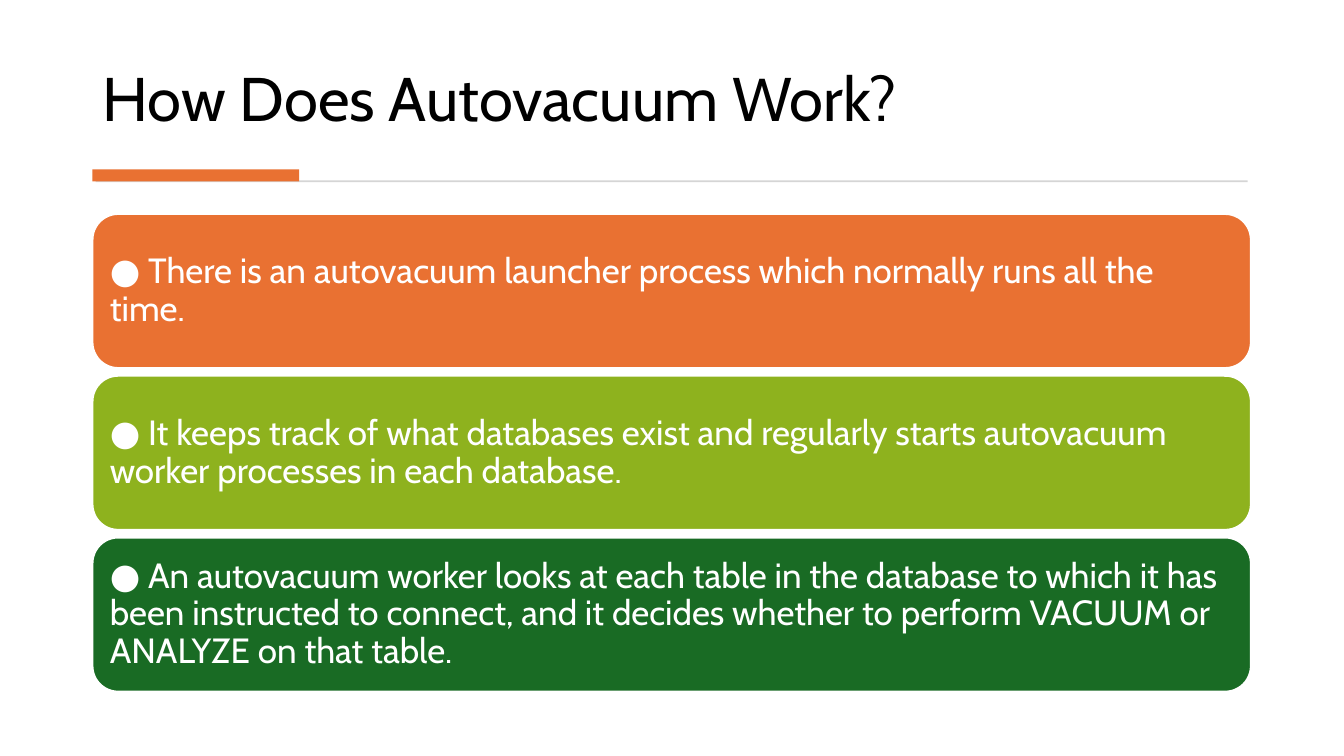
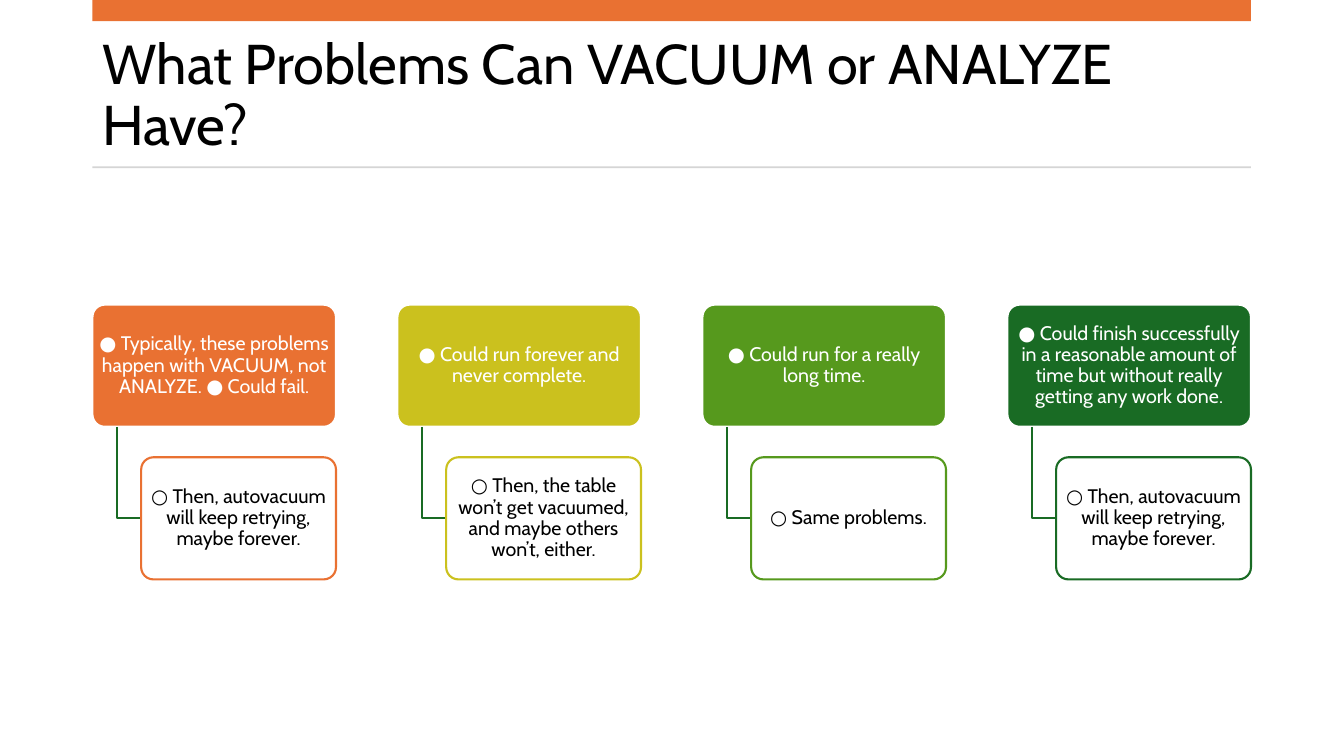
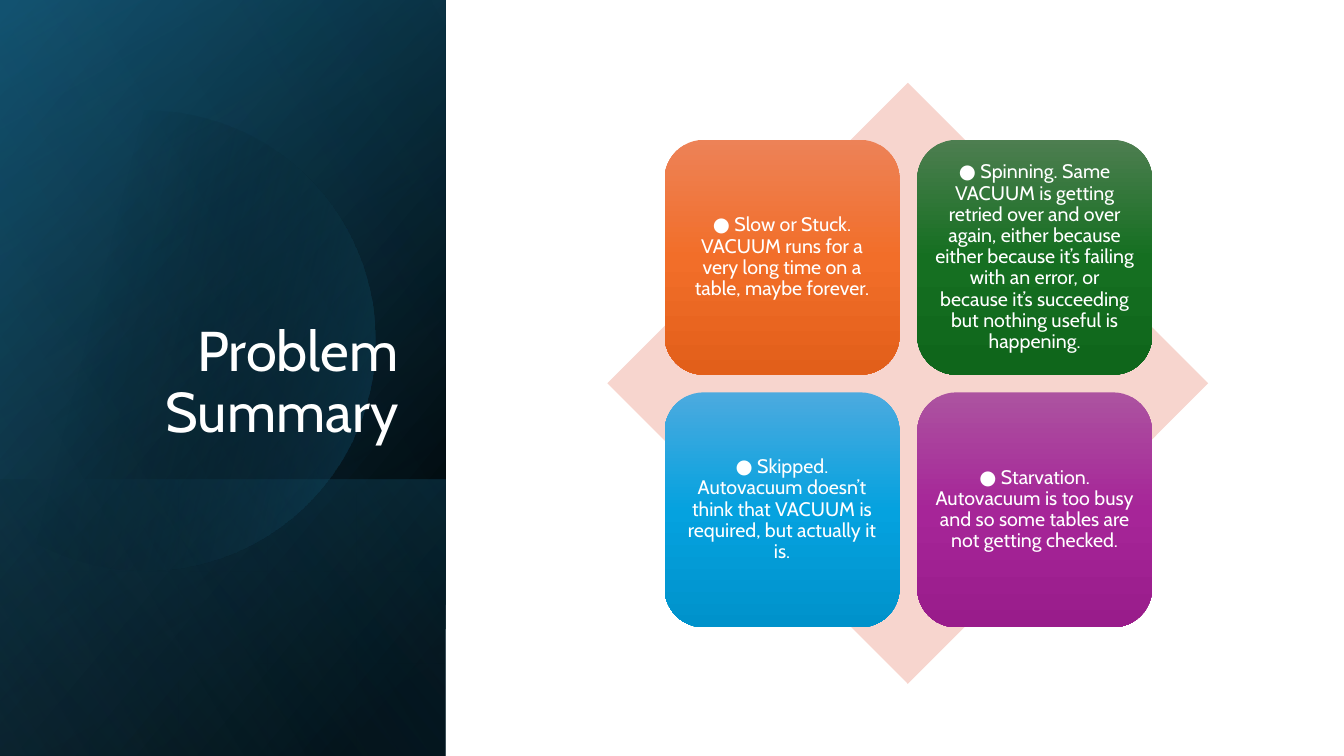
import math
from typing import Any, NamedTuple, Optional

import pptx
import pptx.dml.color
import pptx.enum.shapes
import pptx.enum.text
import pptx.oxml
import pptx.oxml.ns
import pptx.util

# Shared style
FONT = "Cabin"
BLACK, WHITE, GREY = "000000", "FFFFFF", "D5D5D5"
ORANGE, GREEN, TEAL = "E97132", "196B24", "156082"
WIDE, HIGH = pptx.util.Inches(13.333), pptx.util.Inches(7.5)
LEFT, SPAN, RULE = 6.88, 86.2, 0.25  # shares of the slide, in percent

KIND = pptx.enum.shapes.MSO_SHAPE
ALIGN = pptx.enum.text.PP_ALIGN
ANCHOR = pptx.enum.text.MSO_ANCHOR


class Box(NamedTuple):
    """A frame in percent of the slide's width and height."""
    x: float
    y: float
    w: float
    h: float


class Stop(NamedTuple):
    pos: int
    color: str
    alpha: int = 100


class Grad(NamedTuple):
    stops: list[Stop]
    angle: float  # clockwise from left to right


class Layer(NamedTuple):
    box: Box
    grad: Grad


class Card(NamedTuple):
    color: str
    text: str


class Branch(NamedTuple):
    color: str
    cause: str
    result: str


class Tile(NamedTuple):
    shades: tuple[str, str, str]
    text: str


# Drawing helpers
def across(share: float) -> int:
    return round(WIDE * share / 100)


def down(share: float) -> int:
    return round(HIGH * share / 100)


def place(box: Box) -> tuple[int, int, int, int]:
    return across(box.x), down(box.y), across(box.w), down(box.h)


def rgb(code: str) -> pptx.dml.color.RGBColor:
    return pptx.dml.color.RGBColor.from_string(code)


def shade(shape: Any, grad: Grad) -> None:
    """Fill a shape with a gradient whose stops may be see-through."""
    shape.fill.gradient()
    shape.fill.gradient_angle = (360 - grad.angle) % 360
    stops = shape._element.spPr.find(".//" + pptx.oxml.ns.qn("a:gsLst"))
    for old in list(stops):
        stops.remove(old)
    for stop in grad.stops:
        stops.append(pptx.oxml.parse_xml(
            f'<a:gs {pptx.oxml.ns.nsdecls("a")} pos="{stop.pos * 1000}">'
            f'<a:srgbClr val="{stop.color}"><a:alpha val="{stop.alpha * 1000}"/>'
            '</a:srgbClr></a:gs>'))


def paint(shape: Any, fill: str | Grad | None, line: Optional[str] = None) -> None:
    shape.shadow.inherit = False
    if isinstance(fill, Grad):
        shade(shape, fill)
    elif fill:
        shape.fill.solid()
        shape.fill.fore_color.rgb = rgb(fill)
    else:
        shape.fill.background()
    if line:
        shape.line.color.rgb = rgb(line)
        shape.line.width = pptx.util.Pt(1.5)
    else:
        shape.line.fill.background()


def draw(slide: Any, kind: Any, box: Box, fill: str | Grad,
         line: Optional[str] = None) -> Any:
    shape = slide.shapes.add_shape(kind, *place(box))
    paint(shape, fill, line)
    return shape


def write(shape: Any, text: str, size: float, color: str, align: Any,
          anchor: Any = ANCHOR.MIDDLE, pad: tuple[float, float] = (0.1, 0.05)) -> None:
    frame = shape.text_frame
    frame.word_wrap = True
    frame.auto_size = pptx.enum.text.MSO_AUTO_SIZE.NONE
    frame.vertical_anchor = anchor
    frame.margin_left = frame.margin_right = pptx.util.Inches(pad[0])
    frame.margin_top = frame.margin_bottom = pptx.util.Inches(pad[1])
    para = frame.paragraphs[0]
    para.alignment = align
    para.line_spacing = 0.9
    run = para.add_run()
    run.text = text
    run.font.name = FONT
    run.font.size = pptx.util.Pt(size)
    run.font.color.rgb = rgb(color)


def head(slide: Any, text: str, box: Box, size: float, anchor: Any,
         color: str = BLACK, align: Any = ALIGN.LEFT) -> None:
    title = slide.shapes.title
    title.left, title.top, title.width, title.height = place(box)
    write(title, text, size, color, align, anchor)
    slide.shapes._spTree.append(title._element)  # bring to front


def trace(slide: Any, points: list[tuple[float, float]], close: bool) -> Any:
    spots = [(across(x), down(y)) for x, y in points]
    pen = slide.shapes.build_freeform(*spots[0])
    pen.add_line_segments(spots[1:], close=close)
    return pen.convert_to_shape()


# Slide 1: three stacked cards
CARDS = [
    Card(ORANGE, "● There is an autovacuum launcher process which normally runs "
                 "all the time."),
    Card("8EB21E", "● It keeps track of what databases exist and regularly starts "
                   "autovacuum worker processes in each database."),
    Card(GREEN, "● An autovacuum worker looks at each table in the database to "
                "which it has been instructed to connect, and it decides whether "
                "to perform VACUUM or ANALYZE on that table."),
]


def work(slide: Any) -> None:
    head(slide, "How Does Autovacuum Work?", Box(LEFT, 3.75, SPAN, 14.8), 44,
         ANCHOR.BOTTOM)
    draw(slide, KIND.RECTANGLE, Box(7.12, 23.85, 85.72, RULE), GREY)
    draw(slide, KIND.RECTANGLE, Box(LEFT, 22.4, 15.38, 1.6), ORANGE)
    for row, card in enumerate(CARDS):
        box = Box(LEFT, 28.3 + 21.4 * row, SPAN, 20.4)
        shape = draw(slide, KIND.ROUNDED_RECTANGLE, box, card.color, WHITE)
        write(shape, card.text, 25, WHITE, ALIGN.LEFT, pad=(0.1, 0.1))


# Slide 2: four causes, each with its result
RETRY = "○ Then, autovacuum will keep retrying, maybe forever."
BRANCHES = [
    Branch(ORANGE, "● Typically, these problems happen with VACUUM, not ANALYZE. "
                   "● Could fail.", RETRY),
    Branch("CBC11E", "● Could run forever and never complete.",
           "○ Then, the table won’t get vacuumed, and maybe others won’t, either."),
    Branch("56991D", "● Could run for a really long time.", "○ Same problems."),
    Branch(GREEN, "● Could finish successfully in a reasonable amount of time but "
                  "without really getting any work done.", RETRY),
]


def node(slide: Any, box: Box, text: str, fill: str, line: str, ink: str) -> None:
    shape = draw(slide, KIND.ROUNDED_RECTANGLE, box, fill, line)
    shape.adjustments[0] = 0.1
    write(shape, text, 14, ink, ALIGN.CENTER, pad=(0.03, 0.02))


def faults(slide: Any) -> None:
    head(slide, "What Problems Can VACUUM or ANALYZE Have?",
         Box(LEFT, 4.95, SPAN, 15.7), 40, ANCHOR.MIDDLE)
    draw(slide, KIND.RECTANGLE, Box(LEFT, 0, SPAN, 2.8), ORANGE)
    draw(slide, KIND.RECTANGLE, Box(LEFT, 22, SPAN, RULE), GREY)
    top, wide, high = 40.3, 18.12, 16.15
    step = (SPAN - wide) / (len(BRANCHES) - 1)
    for col, item in enumerate(BRANCHES):
        x = LEFT + col * step
        stem, inner = x + wide * 0.1, x + wide * 0.2
        mid = top + high * 1.75
        node(slide, Box(x, top, wide, high), item.cause, item.color, WHITE, WHITE)
        elbow = trace(slide, [(stem, top + high), (stem, mid), (inner, mid)], False)
        paint(elbow, None, GREEN)
        node(slide, Box(inner, top + high * 1.25, wide * 0.8, high), item.result,
             WHITE, item.color, BLACK)


# Slide 3: shaded side panel and a matrix on a diamond
PANEL = Box(0, 0, 33.15, 100)
BACK = [
    Layer(PANEL, Grad([Stop(8, BLACK), Stop(100, "104862")], 220)),
    Layer(PANEL, Grad([Stop(0, BLACK, 0), Stop(99, TEAL, 46)], 240)),
    Layer(Box(0, 63.4, 33.15, 36.6),
          Grad([Stop(2, TEAL, 29), Stop(100, BLACK, 30)], 140)),
]
GLOW = Grad([Stop(29, BLACK, 0), Stop(100, TEAL, 43)], 14)
SHEEN = Layer(PANEL, Grad([Stop(0, BLACK, 0), Stop(99, "46B1E1", 11)], 150))
TILES = [
    Tile(("ED8257", "F26E29", "E25F1A"),
         "● Slow or Stuck. VACUUM runs for a very long time on a table, maybe "
         "forever."),
    Tile(("4D7E50", "156F21", "0F661B"),
         "● Spinning. Same VACUUM is getting retried over and over again, either "
         "because either because it’s failing with an error, or because it’s "
         "succeeding but nothing useful is happening."),
    Tile(("4CAADF", "05A2DF", "0092CB"),
         "● Skipped. Autovacuum doesn’t think that VACUUM is required, but "
         "actually it is."),
    Tile(("AC53A0", "A62598", "991C8B"),
         "● Starvation. Autovacuum is too busy and so some tables are not getting "
         "checked."),
]


def disc(slide: Any) -> None:
    """A circle cut off by the slide's left edge."""
    x, y, wide, high = 10.8, 45.07, 17.1, 30.4
    end = math.acos(-x / wide)
    count = 120
    turns = [end * (2 * i / count - 1) for i in range(count + 1)]
    points = [(x + wide * math.cos(t), y + high * math.sin(t)) for t in turns]
    paint(trace(slide, points, True), GLOW)


def recap(slide: Any) -> None:
    for layer in BACK:
        draw(slide, KIND.RECTANGLE, layer.box, layer.grad)
    disc(slide)
    draw(slide, KIND.RECTANGLE, SHEEN.box, SHEEN.grad)
    head(slide, "Problem Summary", Box(4.8, 24.5, 25.6, 34.95), 40,
         ANCHOR.BOTTOM, WHITE, ALIGN.RIGHT)
    draw(slide, KIND.DIAMOND, Box(45.2, 10.95, 44.7, 79.5), "F7D5CE")
    for i, tile in enumerate(TILES):
        row, col = divmod(i, 2)
        box = Box(49.45 + 18.8 * col, 18.5 + 33.4 * row, 17.48, 31.07)
        stops = [Stop(50 * n, color) for n, color in enumerate(tile.shades)]
        shape = draw(slide, KIND.ROUNDED_RECTANGLE, box, Grad(stops, 90))
        write(shape, tile.text, 14, WHITE, ALIGN.CENTER, pad=(0.06, 0.06))


def main() -> None:
    deck = pptx.Presentation()
    deck.slide_width, deck.slide_height = WIDE, HIGH
    for build in (work, faults, recap):
        build(deck.slides.add_slide(deck.slide_layouts[5]))  # title only
    deck.save("out.pptx")


if __name__ == "__main__":
    main()
